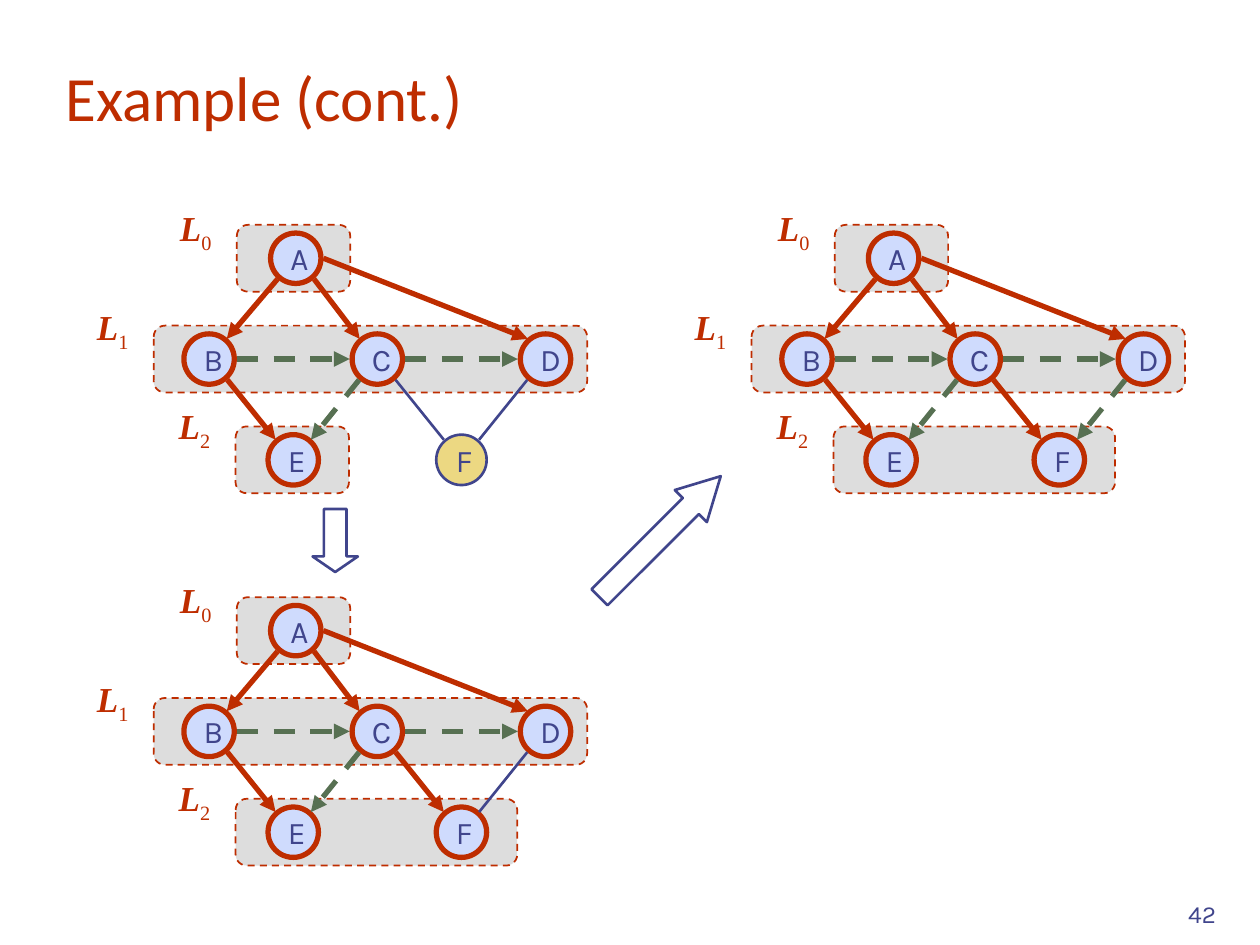
from pptx import Presentation
from pptx import util as u
from pptx.dml.color import RGBColor
from pptx.enum import dml, shapes, text
from pptx.oxml.ns import qn
from lxml import etree

RED = RGBColor(0xBE, 0x2D, 0x00)
GREEN = RGBColor(0x57, 0x70, 0x52)
NAVY = RGBColor(0x40, 0x45, 0x8C)
GREY = RGBColor(0xDD, 0xDD, 0xDD)
BLUE = RGBColor(0xCF, 0xDB, 0xFD)
YELLOW = RGBColor(0xEC, 0xD8, 0x82)

# Grid of one graph: node B is its origin column, node A its origin row
X0, Y0 = 1.66, 2.05
COL, ROW = 1.335, 0.8
NODE, BAND = 0.4, 0.53
NODES = {"A": (0.515, 0), "B": (0, 1), "C": (1, 1), "D": (2, 1),
         "E": (0.5, 2), "F": (1.5, 2)}
# Left edge and width of each level's band
BANDS = [(1.88, 0.9), (1.22, 3.44), (1.87, 0.9)]

# Styles of an edge: colour, width, dashed, arrowhead
TREE, CROSS, PLAIN = (RED, 3, False, True), (GREEN, 3, True, True), (NAVY, 1.5, False, False)
EDGES = {"AB": TREE, "AC": TREE, "AD": TREE, "BC": CROSS, "CD": CROSS,
         "BE": TREE, "CE": CROSS}


def set_line(line, color, width, dashed=False):
    line.color.rgb = color
    line.width = u.Pt(width)
    if dashed:
        line.dash_style = dml.MSO_LINE.DASH


def add_run(p, content, size, font, color, bold=False, italic=False):
    r = p.add_run()
    r.text = content
    r.font.size, r.font.name = u.Pt(size), font
    r.font.bold, r.font.italic = bold, italic
    r.font.color.rgb = color
    return r


def add_shape(s, kind, x, y, w, h, fill, color, width, dashed=False):
    sp = s.shapes.add_shape(kind, u.Inches(x), u.Inches(y), u.Inches(w), u.Inches(h))
    sp.shadow.inherit = False
    if fill is None:
        sp.fill.background()
    else:
        sp.fill.solid()
        sp.fill.fore_color.rgb = fill
    set_line(sp.line, color, width, dashed)
    return sp


def add_text(s, x, y, w, h, anchor=text.MSO_ANCHOR.TOP, align=text.PP_ALIGN.LEFT):
    tf = s.shapes.add_textbox(u.Inches(x), u.Inches(y), u.Inches(w), u.Inches(h)).text_frame
    tf.word_wrap = True
    tf.vertical_anchor = anchor
    p = tf.paragraphs[0]
    p.alignment = align
    return p


def add_node(s, name, x, y, reached):
    fill, color, width = (BLUE, RED, 3) if reached else (YELLOW, NAVY, 1.5)
    sp = add_shape(s, shapes.MSO_SHAPE.OVAL, x - NODE / 2, y - NODE / 2, NODE, NODE,
                   fill, color, width)
    tf = sp.text_frame
    tf.word_wrap = False
    tf.vertical_anchor = text.MSO_ANCHOR.MIDDLE
    p = tf.paragraphs[0]
    p.alignment = text.PP_ALIGN.LEFT
    add_run(p, name, 18, "Karla", NAVY)


def add_edge(s, start, end, style):
    color, width, dashed, arrow = style
    (x1, y1), (x2, y2) = start, end
    way = 1 if x2 > x1 else -1
    flat = abs(y2 - y1) < ROW / 2
    # Level or long edges leave from the side, the others from a corner
    side = flat or x2 - x1 > COL
    out = (0.22, 0) if side else (0.145, 0.165)
    into = (0.22, 0) if flat else (0.14, 0.16)
    c = s.shapes.add_connector(
        shapes.MSO_CONNECTOR.STRAIGHT,
        u.Inches(x1 + way * out[0]), u.Inches(y1 + out[1]),
        u.Inches(x2 - way * into[0]), u.Inches(y2 - into[1]))
    set_line(c.line, color, width, dashed)
    if arrow:
        etree.SubElement(c.line._get_or_add_ln(), qn("a:tailEnd"), type="triangle")
    etree.SubElement(c._element.spPr, qn("a:effectLst"))


def add_graph(s, dx, dy, f_edges, f_reached=True):
    # Level bands with their labels
    for level, (left, width) in enumerate(BANDS):
        if level == 2 and f_reached:
            width += COL
        band = add_shape(s, shapes.MSO_SHAPE.ROUNDED_RECTANGLE, left + dx,
                         Y0 + level * ROW - BAND / 2 + dy, width, BAND, GREY, RED, 1, True)
        band.adjustments[0] = 0.167
        p = add_text(s, left - 0.55 + dx, 1.59 + level * 0.785 + dy, 0.51, 0.43)
        add_run(p, "L", 20, "Times New Roman", RED, True, True)
        r = add_run(p, str(level), 20, "Times New Roman", RED)
        r.font._element.set("baseline", "-25000")

    # Nodes and edges
    centres = {n: (X0 + c * COL + dx, Y0 + r * ROW + dy) for n, (c, r) in NODES.items()}
    for name, (x, y) in centres.items():
        add_node(s, name, x, y, name != "F" or f_reached)
    for (a, b), style in {**EDGES, **f_edges}.items():
        add_edge(s, centres[a], centres[b], style)


def add_step_arrow(s, x, y, length, head, angle):
    sp = add_shape(s, shapes.MSO_SHAPE.RIGHT_ARROW, x, y, length, 0.36, None, NAVY, 1.5)
    sp.adjustments[0], sp.adjustments[1] = 0.5, head
    sp.rotation = angle


def main():
    prs = Presentation()
    prs.slide_width, prs.slide_height = u.Inches(10), u.Inches(7.5)
    s = prs.slides.add_slide(prs.slide_layouts[6])

    # Title
    p = add_text(s, 0.42, 0.33, 9.33, 0.78, text.MSO_ANCHOR.BOTTOM)
    add_run(p, "Example (cont.)", 36, "Calibri", RED)

    # Three steps of the traversal
    add_graph(s, 0, 0, {"CF": PLAIN, "DF": PLAIN}, f_reached=False)
    add_graph(s, 0, 2.955, {"CF": TREE, "DF": PLAIN})
    add_graph(s, 4.745, 0, {"CF": TREE, "DF": CROSS})

    # Arrows from step to step
    add_step_arrow(s, 2.41, 4.11, 0.5, 0.343, 90)
    add_step_arrow(s, 4.56, 4.08, 1.36, 0.932, 315)

    # Page number
    p = add_text(s, 7.67, 6.92, 2.08, 0.5, text.MSO_ANCHOR.BOTTOM, text.PP_ALIGN.RIGHT)
    add_run(p, "42", 14, "Karla", NAVY)

    prs.save("out.pptx")


if __name__ == "__main__":
    main()
